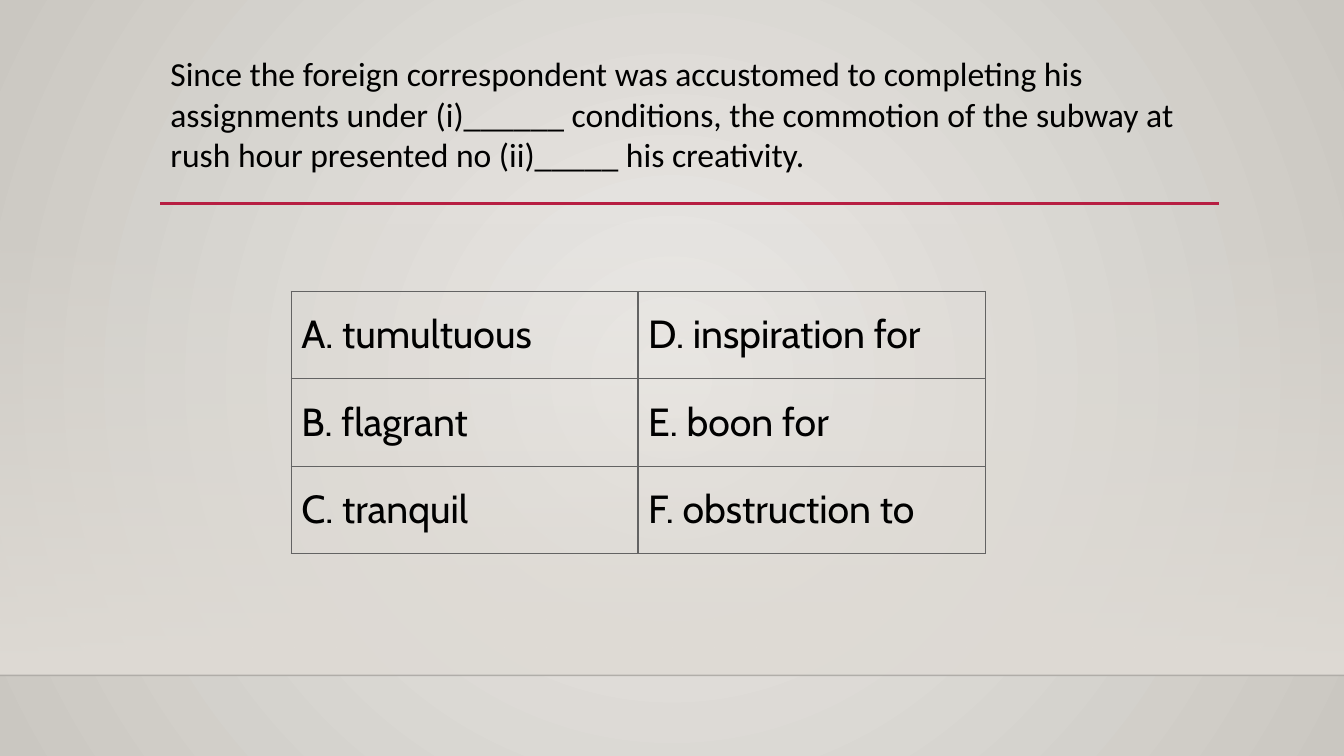
from lxml import etree
from pptx import Presentation
from pptx.dml.color import RGBColor
from pptx.enum.shapes import MSO_CONNECTOR, MSO_SHAPE
from pptx.enum.text import MSO_ANCHOR, MSO_AUTO_SIZE, PP_ALIGN
from pptx.oxml import parse_xml
from pptx.oxml.ns import nsdecls, qn
from pptx.util import Pt

STRAIGHT = MSO_CONNECTOR.STRAIGHT
RECTANGLE = MSO_SHAPE.RECTANGLE
TOP, MIDDLE = MSO_ANCHOR.TOP, MSO_ANCHOR.MIDDLE
LEFT = PP_ALIGN.LEFT
NO_AUTOFIT = MSO_AUTO_SIZE.NONE

BLACK = RGBColor(0x00, 0x00, 0x00)
CRIMSON = RGBColor(0xB7, 0x1E, 0x42)
PALE_GREY = RGBColor(0xEC, 0xEA, 0xE7)
WARM_GREY = RGBColor(0xCA, 0xC7, 0xC1)
SAND = RGBColor(0xDF, 0xDB, 0xD5)
BORDER_GREY = RGBColor(0x63, 0x63, 0x63)

SLIDE_WIDTH, SLIDE_HEIGHT = 960, 540
FLOOR_TOP = 482.4
THIN, THICK = 0.48, 0.96

QUESTION = (
    "Since the foreign correspondent was accustomed to completing his "
    "assignments under (i)______ conditions, the commotion of the subway at "
    "rush hour presented no (ii)_____ his creativity."
)
CHOICES = [
    ("A. tumultuous", "D. inspiration for"),
    ("B. flagrant", "E. boon for"),
    ("C. tranquil", "F. obstruction to"),
]


def write_text(text_frame, text, *, font, size, color=BLACK, anchor=TOP):
    text_frame.word_wrap = True
    text_frame.vertical_anchor = anchor
    paragraph = text_frame.paragraphs[0]
    paragraph.alignment = LEFT
    paragraph.line_spacing = 1.0
    run = paragraph.add_run()
    run.text = text
    run.font.name = font
    run.font.size = Pt(size)
    run.font.color.rgb = color


def set_gradient(fill, start, end):
    fill.gradient()
    for stop, color in zip(fill.gradient_stops, (start, end)):
        stop.color.rgb = color


def set_alpha(color_element, percent):
    alpha = etree.SubElement(color_element, qn("a:alpha"))
    alpha.set("val", str(percent * 1000))


def add_rule(slide, left, top, width, color, weight):
    rule = slide.shapes.add_connector(
        STRAIGHT, Pt(left), Pt(top), Pt(left + width), Pt(top))
    rule.line.color.rgb = color
    rule.line.width = Pt(weight)
    etree.SubElement(rule._element.spPr, qn("a:effectLst"))
    return rule


def add_backdrop(slide, left, top, width, height):
    # Radial background
    set_gradient(slide.background.fill, PALE_GREY, WARM_GREY)
    linear = slide._element.find(".//" + qn("a:lin"))
    linear.getparent().replace(linear, parse_xml(
        f'<a:path {nsdecls("a")} path="circle">'
        '<a:fillToRect l="50000" t="50000" r="50000" b="50000"/></a:path>'))

    # Wall that fades in towards the floor line
    wall = slide.shapes.add_shape(
        RECTANGLE, Pt(left), Pt(top), Pt(width), Pt(height))
    wall.shadow.inherit = False
    wall.line.fill.background()
    set_gradient(wall.fill, SAND, SAND)
    wall.fill.gradient_angle = 270
    set_alpha(wall._element.spPr.find(".//" + qn("a:srgbClr")), 0)

    # Floor line
    floor = add_rule(slide, left, top + height, width, BLACK, 1)
    set_alpha(floor._element.spPr.find(".//" + qn("a:srgbClr")), 20)


def add_question(slide, left, top, width, height):
    title = slide.shapes.title
    title.left, title.top = Pt(left), Pt(top)
    title.width, title.height = Pt(width), Pt(height)
    title.text_frame.auto_size = NO_AUTOFIT
    write_text(title.text_frame, QUESTION, font="Calibri", size=24)
    add_rule(slide, left, top + height + 16.5, width, CRIMSON, 2.5)


def set_borders(cell, **weights):
    properties = cell._tc.get_or_add_tcPr()
    for index, (side, weight) in enumerate(weights.items()):
        properties.insert(index, parse_xml(
            f'<a:ln{side} {nsdecls("a")} w="{Pt(weight)}"><a:solidFill>'
            f'<a:srgbClr val="{BORDER_GREY}"/></a:solidFill></a:ln{side}>'))


def add_choices(slide, left, top, width, height):
    rows, columns = len(CHOICES), len(CHOICES[0])
    table = slide.shapes.add_table(
        rows, columns, Pt(left), Pt(top), Pt(width), Pt(height)).table
    table.first_row = False
    table.horz_banding = False
    for row, choices in enumerate(CHOICES):
        for column, choice in enumerate(choices):
            cell = table.cell(row, column)
            cell.fill.background()
            cell.vertical_anchor = MIDDLE
            write_text(cell.text_frame, choice, font="Cabin", size=28,
                       anchor=MIDDLE)
            right = THIN if column == columns - 1 else THICK
            set_borders(cell, L=THICK, R=right, T=THIN, B=THIN)


def main():
    presentation = Presentation()
    presentation.slide_width = Pt(SLIDE_WIDTH)
    presentation.slide_height = Pt(SLIDE_HEIGHT)
    title_only = presentation.slide_layouts[5]
    slide = presentation.slides.add_slide(title_only)

    wall_top = 159
    add_backdrop(slide, 0, wall_top, SLIDE_WIDTH, FLOOR_TOP - wall_top)
    add_question(slide, 114.5, 34.5, 756.5, 94.5)
    add_choices(slide, 208, 208, 495.5, 187.5)
    presentation.save("out.pptx")


if __name__ == "__main__":
    main()
